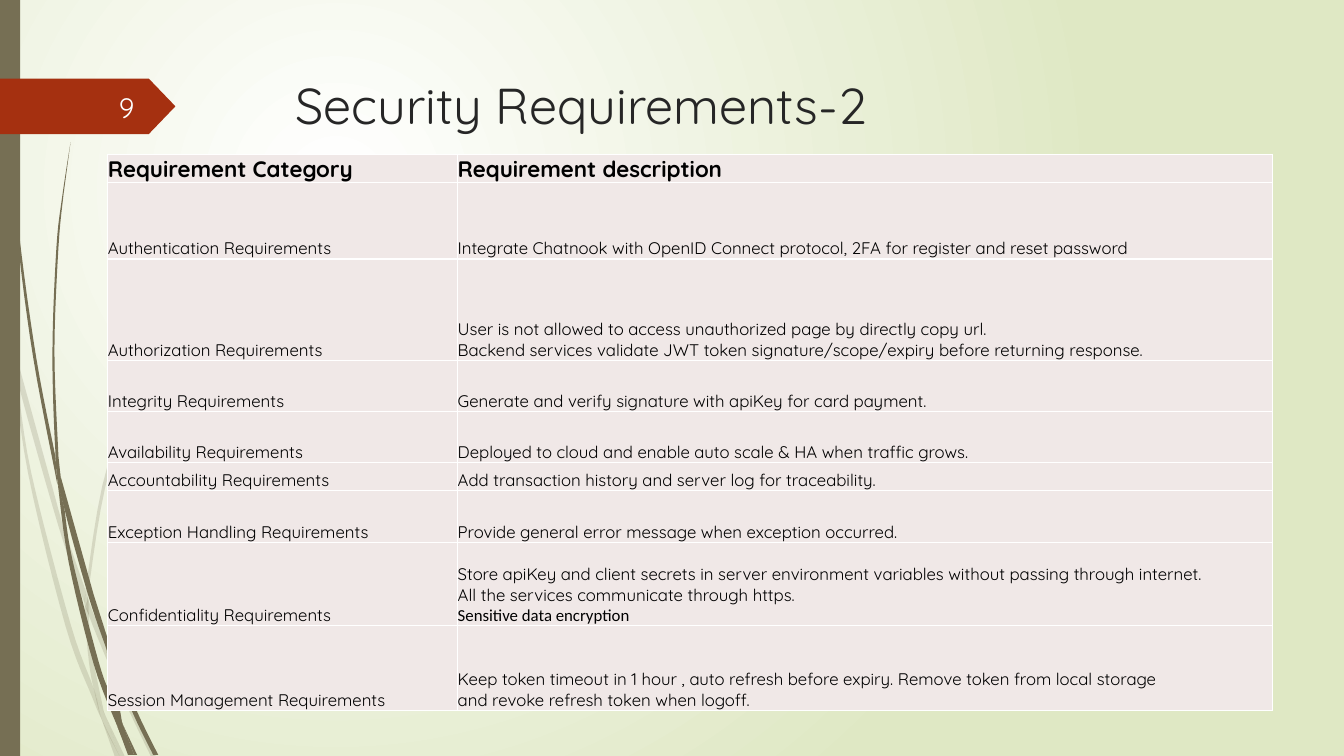
import dataclasses
import itertools
import typing

import pptx
import pptx.dml.color
import pptx.enum.shapes
import pptx.enum.text
import pptx.oxml
import pptx.oxml.ns
import pptx.util

PX = 9144
WHITE = pptx.dml.color.RGBColor(0xFF, 0xFF, 0xFF)
MEADOW = pptx.dml.color.RGBColor(0xDF, 0xE8, 0xC4)
OLIVE = pptx.dml.color.RGBColor(0x76, 0x6F, 0x54)
RUST = pptx.dml.color.RGBColor(0xA5, 0x30, 0x10)
CHARCOAL = pptx.dml.color.RGBColor(0x26, 0x26, 0x26)
NEAR_WHITE = pptx.dml.color.RGBColor(0xFE, 0xFF, 0xFF)
BLACK = pptx.dml.color.RGBColor(0, 0, 0)
BLUSH = pptx.dml.color.RGBColor(0xF0, 0xE8, 0xE7)

A_NS = pptx.oxml.ns.nsdecls("a")
Point = tuple[float, float]
Edge = tuple[Point, ...]


@dataclasses.dataclass(frozen=True)
class Blade:
    outward: Edge
    inward: Edge


@dataclasses.dataclass(frozen=True)
class Requirement:
    category: str
    height: int
    lines: tuple[str, ...]
    addition: str = ""


@dataclasses.dataclass(frozen=True)
class Label:
    text: str
    box: tuple[int, int, int, int]
    size: int
    color: pptx.dml.color.RGBColor
    align: pptx.enum.text.PP_ALIGN
    anchor: pptx.enum.text.MSO_ANCHOR


FADED_BLADES = (
    Blade(((11, 350), (9, 322), (0, 282)), ((0, 299), (10, 344))),
    Blade(((14, 345), (17, 376), (58, 522), (84, 599)), ((85, 586), (62, 520))),
    Blade(((88, 596), (88, 610), (123, 694), (150, 751)), ((155, 751), (127, 692), (92, 607))),
    Blade(((105, 711), (119, 751)), ((124, 751),)),
    Blade(((11, 350), (28, 470), (65, 621), (92, 693), (101, 714)),
          ((99, 707), (93, 683), (70, 619), (31, 469), (17, 376))),
    Blade(((84, 599), (87, 646), (93, 683), (105, 711)), ((103, 706), (91, 646), (88, 608))),
    Blade(((312, 153), (268, 197), (228, 244), (158, 348), (107, 461), (85, 584)),
          ((88, 596), (88, 584), (110, 462), (160, 349), (229, 245), (268, 198), (312, 154))),
    Blade(((101, 714), (114, 751)), ((119, 751),)),
    Blade(((85, 586), (84, 599), (88, 610)), ((88, 596),)),
    Blade(((93, 683), (101, 714), (119, 751)), ((105, 711), (96, 692))),
)
BOLD_BLADES = (
    Blade(((3, 0), (7, 110), (17, 233), (33, 355), (57, 481)),
          ((55, 453), (36, 355), (19, 232), (8, 109), (4, 0))),
    Blade(((60, 472), (64, 505), (88, 592), (106, 645)), ((106, 631), (93, 590))),
    Blade(((110, 641), (111, 656), (132, 708), (152, 749)), ((157, 749), (136, 706), (113, 649))),
    Blade(((57, 477), (68, 557), (93, 659), (117, 722)),
          ((116, 717), (110, 691), (98, 657), (72, 556), (64, 505))),
    Blade(((70, 141), (62, 193), (56, 245), (52, 349), (55, 449), (60, 472)),
          ((58, 453), (54, 349), (58, 245), (63, 193))),
    Blade(((122, 719), (133, 749)), ((136, 749),)),
    Blade(((55, 449), (57, 477), (64, 505)), ((60, 472),)),
    Blade(((260, 344), (231, 373), (204, 405), (156, 474), (122, 551), (106, 631)),
          ((110, 641), (111, 633), (125, 552), (158, 476), (205, 406), (231, 374), (261, 344))),
    Blade(((117, 722), (127, 749)), ((131, 749),)),
    Blade(((106, 645), (110, 691), (122, 719)), ((121, 716), (111, 656))),
    Blade(((106, 631), (106, 645), (111, 656)), ((110, 641),)),
    Blade(((110, 691), (117, 722), (130, 749)), ((133, 749), (122, 719), (116, 706))),
)

LABELS = (
    Label("Security Requirements-2", (283, 69, 975, 108), 36, CHARCOAL,
          pptx.enum.text.PP_ALIGN.LEFT, pptx.enum.text.MSO_ANCHOR.TOP),
    Label("9", (58, 86, 85, 40), 20, NEAR_WHITE,
          pptx.enum.text.PP_ALIGN.RIGHT, pptx.enum.text.MSO_ANCHOR.MIDDLE),
)

COLUMN_WIDTHS = (347, 808)
REQUIREMENTS = (
    Requirement("Requirement Category", 28, ("Requirement description",)),
    Requirement("Authentication Requirements", 76, (
        "Integrate Chatnook with OpenID Connect protocol, 2FA for register and reset password",)),
    Requirement("Authorization Requirements", 101, (
        "User is not allowed to access unauthorized page by directly copy url.",
        "Backend services validate JWT token signature/scope/expiry before returning response.")),
    Requirement("Integrity Requirements", 50, (
        "Generate and verify signature with apiKey for card payment.",)),
    Requirement("Availability Requirements", 51, (
        "Deployed to cloud and enable auto scale & HA when traffic grows.",)),
    Requirement("Accountability Requirements", 28, (
        "Add transaction history and server log for traceability.",)),
    Requirement("Exception Handling Requirements", 51, (
        "Provide general error message when exception occurred.",)),
    Requirement("Confidentiality Requirements", 83, (
        "Store apiKey and client secrets in server environment variables without passing through internet.",
        "All the services communicate through https."), "Sensitive data encryption"),
    Requirement("Session Management Requirements", 84, (
        "Keep token timeout in 1 hour , auto refresh before expiry. Remove token from local storage",
        "and revoke refresh token when logoff.")),
)


def assign(target: typing.Any, values: dict[str, typing.Any]) -> None:
    for key, value in values.items():
        setattr(target, key, value)


def set_font(paragraph: typing.Any, size: int, color: pptx.dml.color.RGBColor,
             typeface: str = "Quicksand", bold: bool = False) -> None:
    for run in paragraph.runs:
        assign(run.font, {"name": typeface, "size": pptx.util.Pt(size), "bold": bold})
        run.font.color.rgb = color


def paint(shape: typing.Any, color: pptx.dml.color.RGBColor) -> None:
    shape.shadow.inherit = False
    shape.fill.solid()
    shape.fill.fore_color.rgb = color
    shape.line.fill.background()


def smooth(edge: Edge, steps: int = 6) -> list[Point]:
    padded = (edge[0], *edge, edge[-1])
    curve: list[Point] = []
    for a, b, c, d in zip(padded, padded[1:], padded[2:], padded[3:]):
        for t in (step / steps for step in range(steps)):
            x, y = (
                (2 * q + (r - p) * t + (2 * p - 5 * q + 4 * r - s) * t ** 2
                 + (3 * q - p - 3 * r + s) * t ** 3) / 2
                for p, q, r, s in zip(a, b, c, d))
            curve.append((x, y))
    return [*curve, edge[-1]]


def draw_blade(slide: typing.Any, blade: Blade, opacity: int) -> None:
    outline = [(round(x * PX), round(y * PX))
               for x, y in itertools.chain(smooth(blade.outward), smooth(blade.inward))]
    builder = slide.shapes.build_freeform(*outline[0])
    builder.add_line_segments(outline[1:], close=True)
    grass = builder.convert_to_shape()
    paint(grass, OLIVE)
    if opacity < 100:
        tint = grass.element.spPr.find(".//" + pptx.oxml.ns.qn("a:srgbClr"))
        tint.append(pptx.oxml.parse_xml(f'<a:alpha {A_NS} val="{opacity * 1000}"/>'))


def draw_label(slide: typing.Any, label: Label) -> None:
    frame = slide.shapes.add_textbox(*(PX * side for side in label.box)).text_frame
    assign(frame, {"word_wrap": True, "vertical_anchor": label.anchor, "text": label.text})
    frame.paragraphs[0].alignment = label.align
    set_font(frame.paragraphs[0], label.size, label.color)


def draw_backdrop(slide: typing.Any) -> None:
    glow = slide.background.fill
    glow.gradient()
    for stop, color, position in zip(glow.gradient_stops, (WHITE, MEADOW), (0, 1)):
        assign(stop, {"position": position})
        stop.color.rgb = color
    gradient = slide.element.find(".//" + pptx.oxml.ns.qn("a:gradFill"))
    gradient.remove(gradient.find(pptx.oxml.ns.qn("a:lin")))
    gradient.append(pptx.oxml.parse_xml(
        f'<a:path {A_NS} path="circle">'
        '<a:fillToRect l="50000" t="50000" r="100000" b="100000"/></a:path>'))


def fill_cell(cell: typing.Any, text: str, addition: str, heading: bool) -> None:
    properties = cell._tc.get_or_add_tcPr()
    for side in ("lnL", "lnR", "lnT", "lnB"):
        properties.append(pptx.oxml.parse_xml(
            f'<a:{side} {A_NS} w="12700"><a:solidFill><a:srgbClr val="{WHITE}"/>'
            f'</a:solidFill></a:{side}>'))
    cell.fill.solid()
    cell.fill.fore_color.rgb = BLUSH
    assign(cell, {"margin_left": 0, "margin_right": 0, "margin_top": PX, "margin_bottom": 0,
                  "vertical_anchor": pptx.enum.text.MSO_ANCHOR.BOTTOM})
    cell.text_frame.text = text
    set_font(cell.text_frame.paragraphs[0], 16 if heading else 12, BLACK, bold=heading)
    if addition:
        closing = cell.text_frame.add_paragraph()
        closing.text = addition
        set_font(closing, 12, BLACK, "Calibri")


def draw_requirements(slide: typing.Any) -> None:
    total = sum(requirement.height for requirement in REQUIREMENTS)
    grid = slide.shapes.add_table(len(REQUIREMENTS), len(COLUMN_WIDTHS), 107 * PX, 153 * PX,
                                  sum(COLUMN_WIDTHS) * PX, total * PX).table
    for column, width in zip(grid.columns, COLUMN_WIDTHS):
        column.width = width * PX
    for index, requirement in enumerate(REQUIREMENTS):
        grid.rows[index].height = requirement.height * PX
        description = "\v".join(requirement.lines)
        fill_cell(grid.cell(index, 0), requirement.category, "", index == 0)
        fill_cell(grid.cell(index, 1), description, requirement.addition, index == 0)


def main() -> None:
    deck = pptx.Presentation()
    assign(deck, {"slide_width": 1333 * PX, "slide_height": 750 * PX})
    slide = deck.slides.add_slide(deck.slide_layouts[6])
    draw_backdrop(slide)
    for blades, opacity in ((FADED_BLADES, 20), (BOLD_BLADES, 100)):
        for blade in blades:
            draw_blade(slide, blade, opacity)
    kinds = pptx.enum.shapes.MSO_SHAPE
    side_bar = slide.shapes.add_shape(kinds.RECTANGLE, 0, 0, 20 * PX, 750 * PX)
    paint(side_bar, OLIVE)
    number_tag = slide.shapes.add_shape(kinds.PENTAGON, 0, 78 * PX, 174 * PX, 55 * PX)
    number_tag.adjustments[0] = 0.48
    paint(number_tag, RUST)
    for label in LABELS:
        draw_label(slide, label)
    draw_requirements(slide)
    deck.save("out.pptx")


if __name__ == "__main__":
    main()
